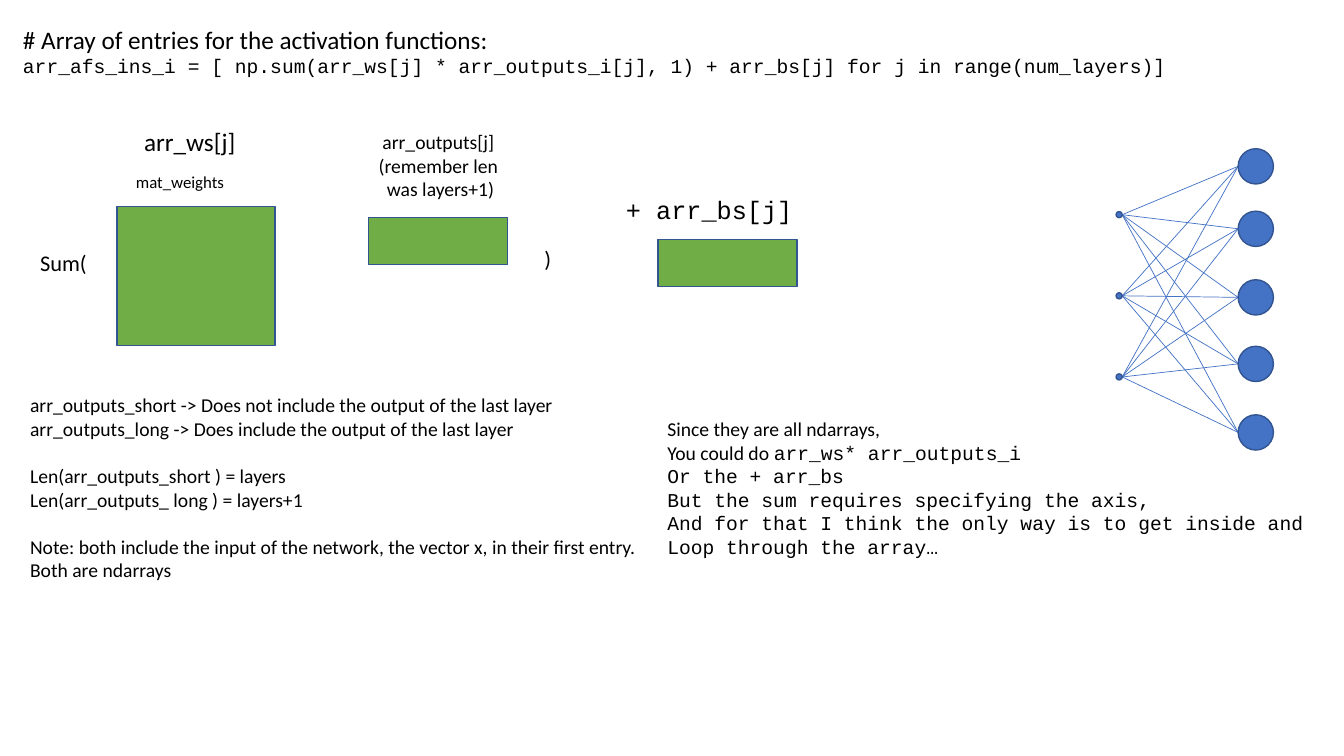
from itertools import product
from lxml import etree
from pptx import Presentation, util as u
from pptx.dml.color import RGBColor
from pptx.enum import shapes, text

# Grid: square cells, 133.3 columns by 75 rows
COLS, ROWS, CELL = 133.3, 75, u.Inches(0.1)
SANS, MONO = "Calibri", "Courier New"
BLACK, GREEN, BLUE, EDGE = "000000", "70AD47", "4472C4", "325491"
LEFT, MID = text.PP_ALIGN.LEFT, text.PP_ALIGN.CENTER
GAP = 17  # points, one line of 14 pt text

# place (left, top, width, height), wrap, alignment,
# paragraphs as (space before, runs), runs as (words, font, size)
LABELS = [
    ((1.3, 1.9, 132, 8.8), True, LEFT, [
        (0, [("# Array of entries for the activation functions:", SANS, 18)]),
        (0, [("arr_afs_ins_i = [ np.sum(arr_ws[j] * arr_outputs_i[j], 1)"
              " + arr_bs[j] for j in range(num_layers)]", MONO, 14)])]),
    ((12.5, 16.5, 13.8, 3), True, LEFT, [(0, [("mat_weights", SANS, 12)])]),
    ((36.5, 12.4, 14.4, 8.1), False, MID, [
        (0, [("arr_outputs[j] ", SANS, 14)]),
        (0, [("(remember len ", SANS, 14)]),
        (0, [("was layers+1)", SANS, 14)])]),
    ((2, 38.5, 62.7, 19.9), False, LEFT, [
        (0, [("arr_outputs_short -> Does not include the output of the last layer", SANS, 14)]),
        (0, [("arr_outputs_long -> Does include the output of the last layer", SANS, 14)]),
        (GAP, [("Len(arr_outputs_short ) = layers", SANS, 14)]),
        (0, [("Len(arr_outputs_ long ) = layers+1", SANS, 14)]),
        (GAP, [("Note: both include the input of the network, the vector x,"
                " in their first entry.", SANS, 14)]),
        (0, [("Both are ndarrays", SANS, 14)])]),
    ((3, 24.2, 13.8, 3.7), True, LEFT, [(0, [("Sum(", SANS, 16)])]),
    ((53, 23.8, 13.8, 3.7), True, LEFT, [(0, [(")", SANS, 16)])]),
    ((61.1, 18.8, 19.7, 4), True, LEFT, [(0, [("+ arr_bs[j]", MONO, 18)])]),
    ((13.3, 12, 11.1, 4), False, LEFT, [(0, [("arr_ws[j]", SANS, 18)])]),
    ((65.2, 40.9, 66.6, 15.1), False, LEFT, [
        (0, [("Since they are all ndarrays,", SANS, 14)]),
        (0, [("You could do ", SANS, 14), ("arr_ws* arr_outputs_i", MONO, 14)]),
        (0, [("Or the + arr_bs", MONO, 14)]),
        (0, [("But the sum requires specifying the axis,", MONO, 14)]),
        (0, [("And for that I think the only way is to get inside and", MONO, 14)]),
        (0, [("Loop through the array…", MONO, 14)])]),
]

# place, turn in degrees
ARRAYS = [((11.6, 20.5, 15.7, 13.8), 0),
          ((41.1, 17, 4.7, 13.8), 270),
          ((69.8, 19.2, 4.7, 13.8), 270)]

# network: left edge, diameter, centre rows
IN_X, IN_D, IN_Y = 110.7, 0.6, [21.3 + 8.05 * i for i in range(3)]
OUT_X, OUT_D, OUT_Y = 122.8, 3.5, [16.5, 22.7, 29.5, 36.1, 42.9]


def grid(*cells):
    return [round(c * CELL) for c in cells]


def color(code):
    return RGBColor.from_string(code)


def solid(kind, place, fill, turn=0):
    shape = slide.shapes.add_shape(kind, *grid(*place))
    shape.shadow.inherit = False
    shape.rotation = turn
    shape.fill.solid()
    shape.fill.fore_color.rgb = color(fill)
    shape.line.color.rgb = color(EDGE)
    shape.line.width = u.Pt(1)


def link(*ends):
    line = slide.shapes.add_connector(shapes.MSO_CONNECTOR.STRAIGHT, *grid(*ends))
    line.line.color.rgb = color(BLUE)
    line.line.width = u.Pt(0.5)
    props = line.line._get_or_add_ln().getparent()
    etree.SubElement(props, "{http://schemas.openxmlformats.org/drawingml/2006/main}effectLst")


def label(place, wrap, align, paras):
    frame = slide.shapes.add_textbox(*grid(*place)).text_frame
    frame.word_wrap = wrap
    frame.auto_size = text.MSO_AUTO_SIZE.SHAPE_TO_FIT_TEXT
    for i, (gap, runs) in enumerate(paras):
        para = frame.add_paragraph() if i else frame.paragraphs[0]
        para.alignment = align
        if gap:
            para.space_before = u.Pt(gap)
        for words, face, size in runs:
            run = para.add_run()
            run.text = words
            run.font.name = face
            run.font.size = u.Pt(size)
            run.font.color.rgb = color(BLACK)


deck = Presentation()
deck.slide_width, deck.slide_height = grid(COLS, ROWS)
slide = deck.slides.add_slide(deck.slide_layouts[6])

for place, turn in ARRAYS:
    solid(shapes.MSO_SHAPE.RECTANGLE, place, GREEN, turn)
for start, end in product(IN_Y, OUT_Y):
    link(IN_X + IN_D, start, OUT_X, end)
for x, size, rows in [(IN_X, IN_D, IN_Y), (OUT_X, OUT_D, OUT_Y)]:
    for y in rows:
        solid(shapes.MSO_SHAPE.OVAL, (x, y - size / 2, size, size), BLUE)
for item in LABELS:
    label(*item)

deck.save("out.pptx")
